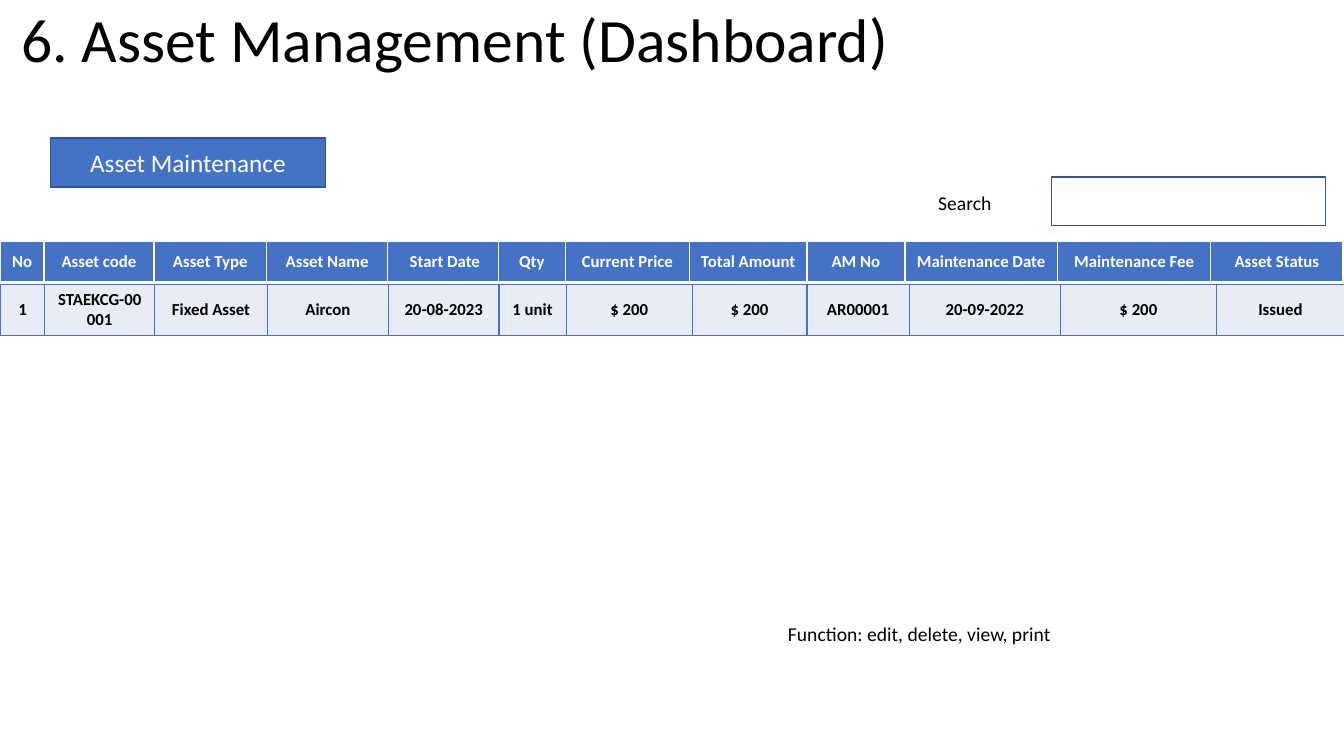
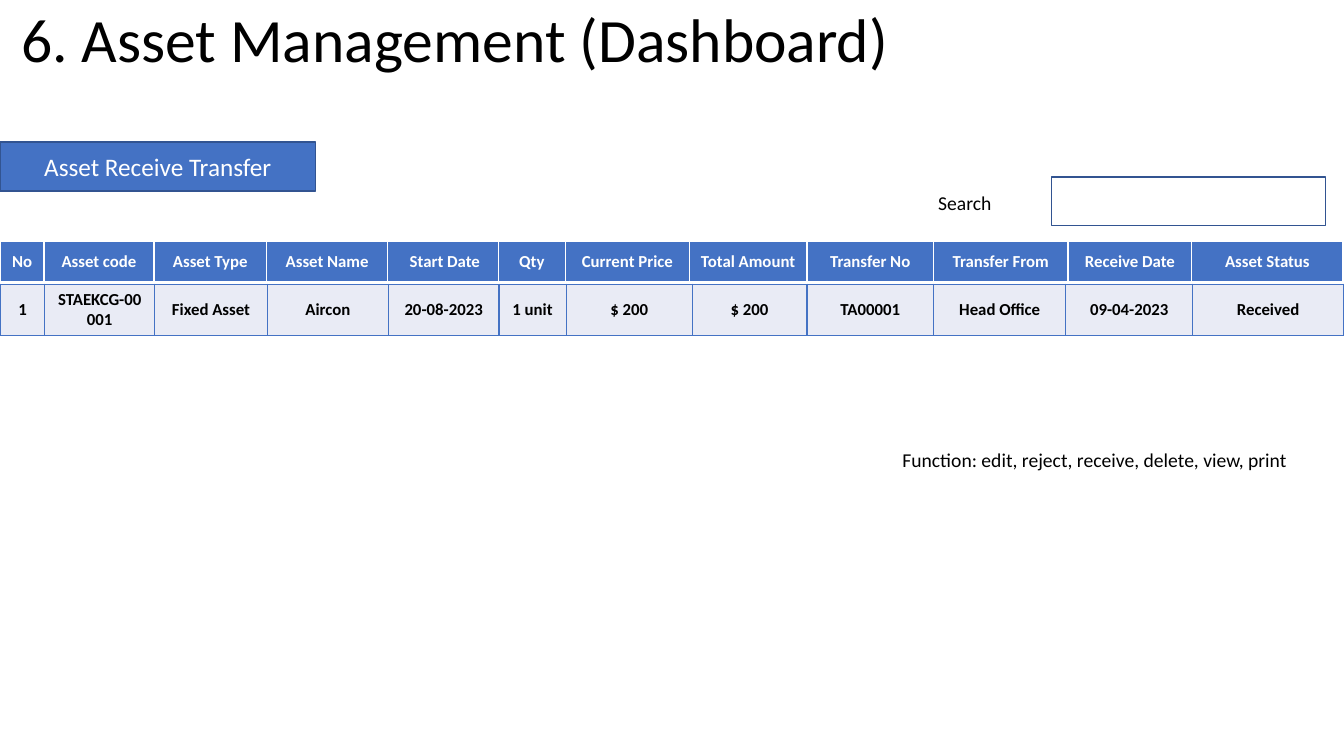
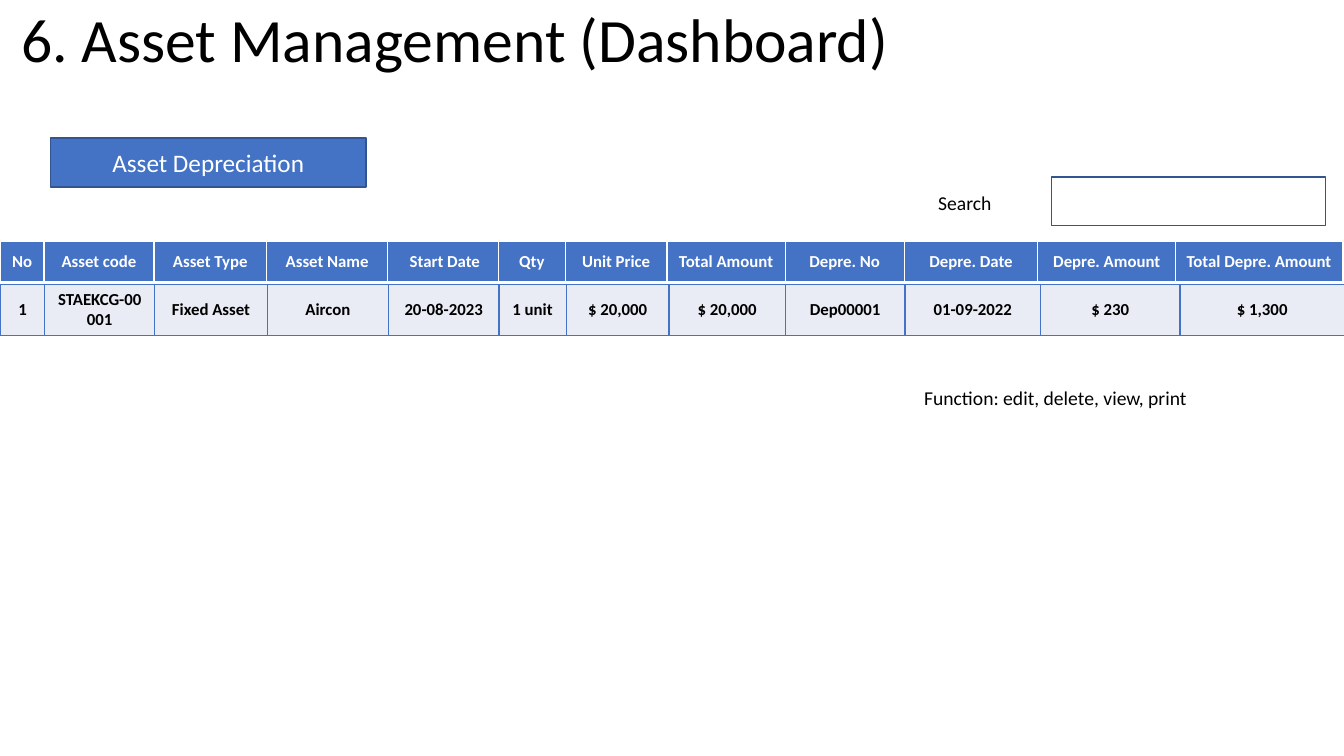
from pptx import Presentation
from pptx.dml.color import RGBColor
from pptx.enum import shapes, text
from pptx.oxml import ns
from pptx.util import Pt
from lxml import etree

HUES = {"blue": "4472C4", "edge": "325491", "pale": "E9EBF5",
        "white": "FFFFFF", "black": "000000"}
FONT = "Calibri"
TITLE = "6. Asset Management (Dashboard)"

# Columns that open every table
HEADS = ["No", "Asset code", "Asset Type", "Asset Name", " Start Date", "Qty"]
ASSET = ["1", "STAEKCG-00001", "Fixed Asset", "Aircon", "20-08-2023", "1 unit"]
LEAD = [31.5, 78.5, 80.5, 86.5, 79, 48]

# What differs: badge and note as (words, left, top, width),
# tables as (words, widths) of the closing columns
PAGES = [
    {"badge": ("Asset Maintenance", 36, 98.5, 196.5),
     "note": ("Function: edit, delete, view, print", 448, 435, 417.5),
     "head": (["Current Price", "Total Amount", "AM No", "Maintenance Date",
               "Maintenance Fee", "Asset Status"],
              [88.5, 84, 70, 109, 109.5, 94.5]),
     "data": (["$ 200", "$ 200", "AR00001", "20-09-2022", "$ 200", "Issued"],
              [90, 82, 73, 108, 111.5, 91.5])},
    {"badge": ("Asset Receive Transfer", 0, 101.5, 225.5),
     "note": ("Function: edit, reject, receive, delete, view, print",
              625.5, 310.5, 313),
     "head": (["Current Price", "Total Amount", "Transfer No",
               "Transfer From", "Receive Date", "Asset Status"],
              [88.5, 84, 90.5, 96, 88.5, 108]),
     "data": (["$ 200", "$ 200", "TA00001", "Head Office", "09-04-2023",
               "Received"],
              [90, 82, 90.5, 94.5, 90.5, 108])},
    {"badge": ("Asset Depreciation", 36, 98.5, 225.5),
     "note": ("Function: edit, delete, view, print", 597.5, 266.5, 313),
     "head": (["Unit Price", "Total Amount", "Depre. No", "Depre. Date",
               "Depre. Amount", "Total Depre. Amount"],
              [72.5, 84.5, 85, 95.5, 98.5, 119]),
     "data": (["$ 20,000", "$ 20,000", "Dep00001", "01-09-2022", "$ 230",
               "$ 1,300"],
              [73.5, 83, 85.5, 97, 99.5, 117.5])},
]


def tint(hue):
    return RGBColor.from_string(HUES[hue])


def write(frame, words, size, hue="black", bold=False, center=True):
    frame.word_wrap = True
    para = frame.paragraphs[0]
    para.text = words
    if center:
        para.alignment = text.PP_ALIGN.CENTER
    font = para.font
    font.name, font.size, font.bold = FONT, Pt(size), bold
    font.color.rgb = tint(hue)
    return para


def label(slide, words, left, top, width, height=35):
    frame = slide.shapes.add_textbox(
        Pt(left), Pt(top), Pt(width), Pt(height)).text_frame
    frame.vertical_anchor = text.MSO_ANCHOR.MIDDLE
    write(frame, words, 14)


def title(slide):
    frame = slide.shapes.add_textbox(Pt(8), Pt(3), Pt(828), Pt(61)).text_frame
    write(frame, TITLE, 44, center=False).line_spacing = 0.9


def box(slide, left, top, width, height, fill=None):
    shape = slide.shapes.add_shape(shapes.MSO_SHAPE.RECTANGLE, Pt(left),
                                   Pt(top), Pt(width), Pt(height))
    shape.shadow.inherit = False
    shape.line.color.rgb = tint("edge")
    shape.line.width = Pt(1)
    if fill:
        shape.fill.solid()
        shape.fill.fore_color.rgb = tint(fill)
    else:
        shape.fill.background()
    return shape


def badge(slide, words, left, top, width):
    frame = box(slide, left, top, width, 35, "blue").text_frame
    frame.vertical_anchor = text.MSO_ANCHOR.MIDDLE
    write(frame, words, 18, "white")


def border(cell, hue, base):
    props = cell._tc.get_or_add_tcPr()
    for side in "LRTB":
        width = base if side == "B" else 1
        line = etree.SubElement(props, ns.qn("a:ln" + side), w=str(Pt(width)))
        solid = etree.SubElement(line, ns.qn("a:solidFill"))
        etree.SubElement(solid, ns.qn("a:srgbClr"), val=HUES[hue])


def strip(slide, words, widths, left, top, height, fill, ink, rule, base=1):
    """One-row table; base is the width of its bottom border."""
    table = slide.shapes.add_table(1, len(words), Pt(left), Pt(top),
                                   Pt(sum(widths)), Pt(height)).table
    table.first_row = table.horz_banding = False
    table.rows[0].height = Pt(height)
    for col, width in zip(table.columns, widths):
        col.width = Pt(width)
    for cell, word in zip(table.rows[0].cells, words):
        border(cell, rule, base)
        cell.fill.solid()
        cell.fill.fore_color.rgb = tint(fill)
        cell.vertical_anchor = text.MSO_ANCHOR.MIDDLE
        write(cell.text_frame, word, 12, ink, bold=True)


def build(slide, page):
    title(slide)
    badge(slide, *page["badge"])

    # Table header and its record
    words, widths = page["head"]
    strip(slide, HEADS + words, LEAD + widths, 0, 172.5, 29.5,
          "blue", "white", "white", base=3)
    words, widths = page["data"]
    strip(slide, ASSET + words, LEAD + widths, 0.5, 203, 36.5,
          "pale", "black", "blue")

    # Search field and list of functions
    label(slide, *page["note"])
    box(slide, 751, 126.5, 196, 34.5)
    label(slide, "Search", 625.5, 127.5, 127.5)


def main():
    deck = Presentation()
    deck.slide_width, deck.slide_height = Pt(960), Pt(540)
    for page in PAGES:
        build(deck.slides.add_slide(deck.slide_layouts[6]), page)
    deck.save("out.pptx")


if __name__ == "__main__":
    main()
